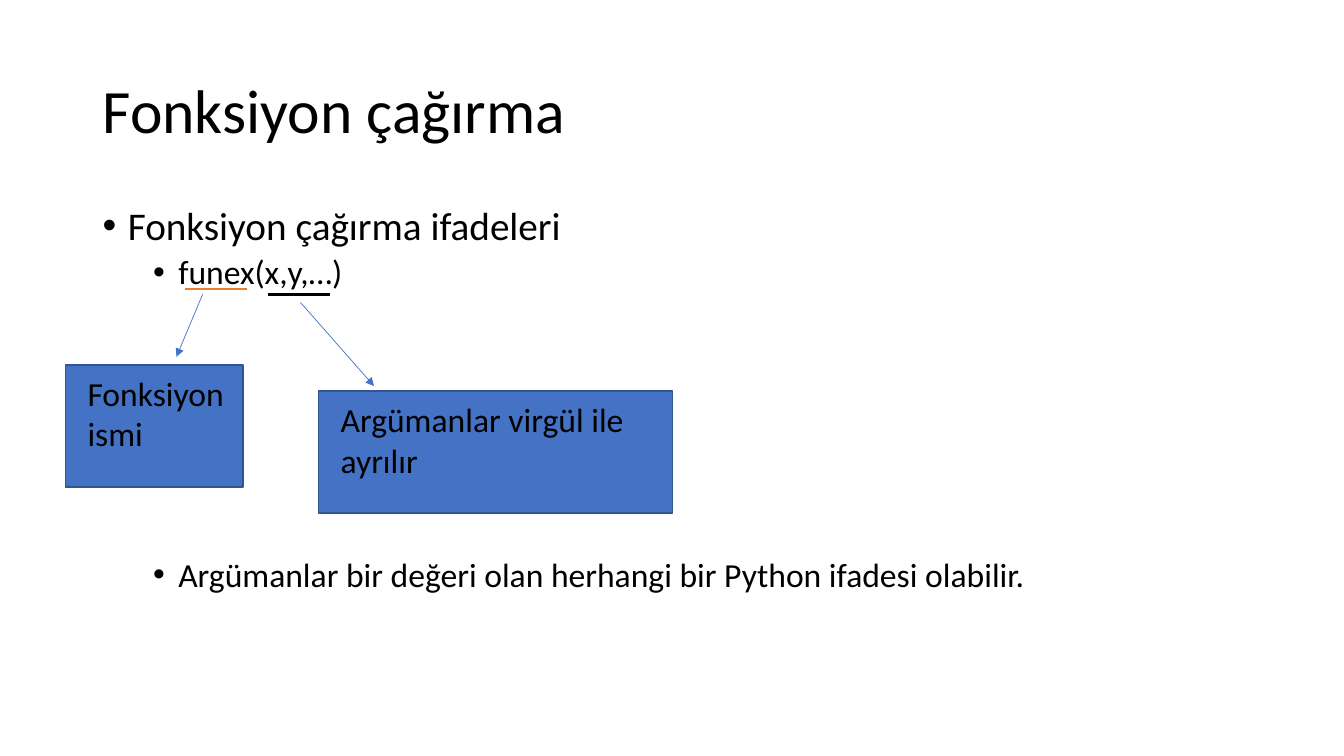
"""Build a slide that explains function calls."""
import pptx
import pptx.dml.color
import pptx.enum.shapes
import pptx.enum.text
import pptx.oxml.ns
import pptx.util
from lxml import etree

Inches = pptx.util.Inches
Pt = pptx.util.Pt
RGBColor = pptx.dml.color.RGBColor
BLACK = RGBColor(0x00, 0x00, 0x00)
BLUE = RGBColor(0x44, 0x72, 0xC4)
DARK_BLUE = RGBColor(0x32, 0x54, 0x91)
ORANGE = RGBColor(0xED, 0x7D, 0x31)


def add_text(slide, box, lines):
    """Add a wrapping text box with one paragraph for each (text, size) pair."""
    shape = slide.shapes.add_textbox(*map(Inches, box))
    frame = shape.text_frame
    frame.word_wrap = True
    frame.text = "\n".join(text for text, size in lines)
    for paragraph, (text, size) in zip(frame.paragraphs, lines):
        font = paragraph.runs[0].font
        font.name = "Calibri"
        font.size = Pt(size)
        font.color.rgb = BLACK
    return frame


def add_title(slide, box, text):
    """Add the slide title, centred vertically in its box."""
    frame = add_text(slide, box, [(text, 44)])
    frame.vertical_anchor = pptx.enum.text.MSO_ANCHOR.MIDDLE
    frame.paragraphs[0].line_spacing = 0.9


def add_bullets(slide, box, items):
    """Add bullets from (text, size, indent, space before) items."""
    frame = add_text(slide, box, [item[:2] for item in items])
    for paragraph, (text, size, indent, space) in zip(frame.paragraphs, items):
        paragraph.line_spacing = 0.9
        paragraph.space_before = Pt(space)
        properties = paragraph._p.get_or_add_pPr()
        properties.set("marL", str(Inches(indent)))
        properties.set("indent", str(Inches(-0.25)))
        font = etree.SubElement(properties, pptx.oxml.ns.qn("a:buFont"))
        font.set("typeface", "Arial")
        bullet = etree.SubElement(properties, pptx.oxml.ns.qn("a:buChar"))
        bullet.set("char", "•")


def add_label(slide, box, text, text_width):
    """Add a blue rectangle with its explanation laid over it."""
    left, top, width, height = box
    shape = slide.shapes.add_shape(
        pptx.enum.shapes.MSO_SHAPE.RECTANGLE, *map(Inches, box))
    shape.shadow.inherit = False
    shape.fill.solid()
    shape.fill.fore_color.rgb = BLUE
    shape.line.color.rgb = DARK_BLUE
    shape.line.width = Pt(1)
    add_text(slide, (left + 0.12, top + 0.03, text_width, 0.91), [(text, 24)])


def add_line(slide, start, end, color, width, arrow=False):
    """Add a straight line, with an arrowhead at its end if wanted."""
    connector = slide.shapes.add_connector(
        pptx.enum.shapes.MSO_CONNECTOR.STRAIGHT, *map(Inches, start + end))
    connector.line.color.rgb = color
    connector.line.width = Pt(width)
    if arrow:
        head = etree.SubElement(
            connector.line._get_or_add_ln(), pptx.oxml.ns.qn("a:tailEnd"))
        head.set("type", "triangle")
    etree.SubElement(
        connector._element.spPr, pptx.oxml.ns.qn("a:effectLst"))


def add_call_diagram(slide, box):
    """Underline the parts of the call and point to their explanations."""
    left, top = box[:2]

    def place(x, y):
        return left + x, top + y

    add_label(slide, (*place(0, 0.75), 1.76, 1.21), "Fonksiyon ismi", 1.64)
    add_label(slide, (*place(2.51, 1.01), 3.51, 1.21),
              "Argümanlar virgül ile ayrılır", 3.28)
    add_line(slide, place(1.36, 0.05), place(1.1, 0.67), BLUE, 0.5, True)
    add_line(slide, place(2.33, 0.13), place(3.06, 0.96), BLUE, 0.5, True)
    add_line(slide, place(2.01, 0.05), place(2.62, 0.05), BLACK, 2.25)
    add_line(slide, place(1.18, 0), place(1.8, 0), ORANGE, 1.5)


def main():
    """Build and save the presentation."""
    presentation = pptx.Presentation()
    presentation.slide_width = Inches(13.33)
    presentation.slide_height = Inches(7.5)
    slide = presentation.slides.add_slide(presentation.slide_layouts[6])
    add_title(slide, (0.92, 0.4, 11.5, 1.45), "Fonksiyon çağırma")
    add_bullets(slide, (0.92, 2, 11.5, 4.76), [
        ("Fonksiyon çağırma ifadeleri", 28, 0.25, 10),
        ("funex(x,y,…)", 24, 0.75, 5),
        ("Argümanlar bir değeri olan herhangi bir Python ifadesi olabilir.",
         24, 0.75, 190),
    ])
    add_call_diagram(slide, (0.65, 2.87, 6.02, 2.22))
    presentation.save("out.pptx")


if __name__ == "__main__":
    main()
